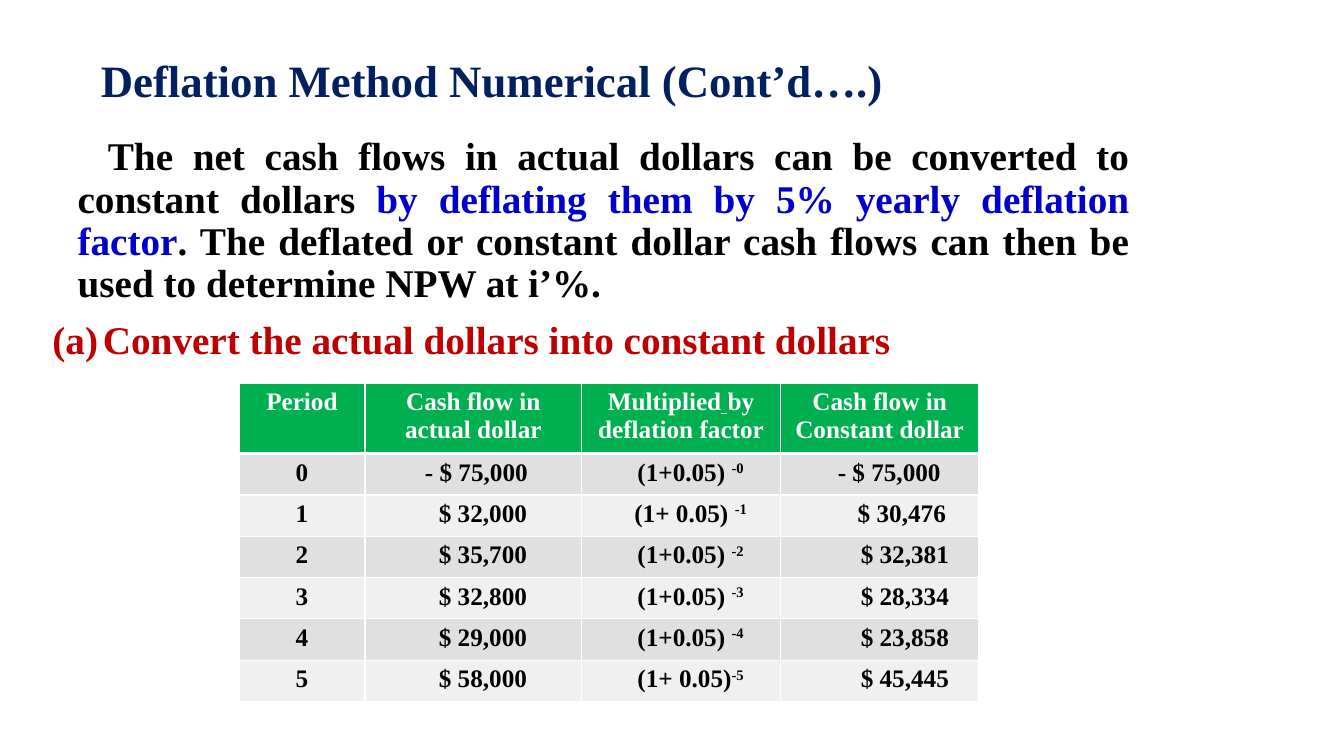
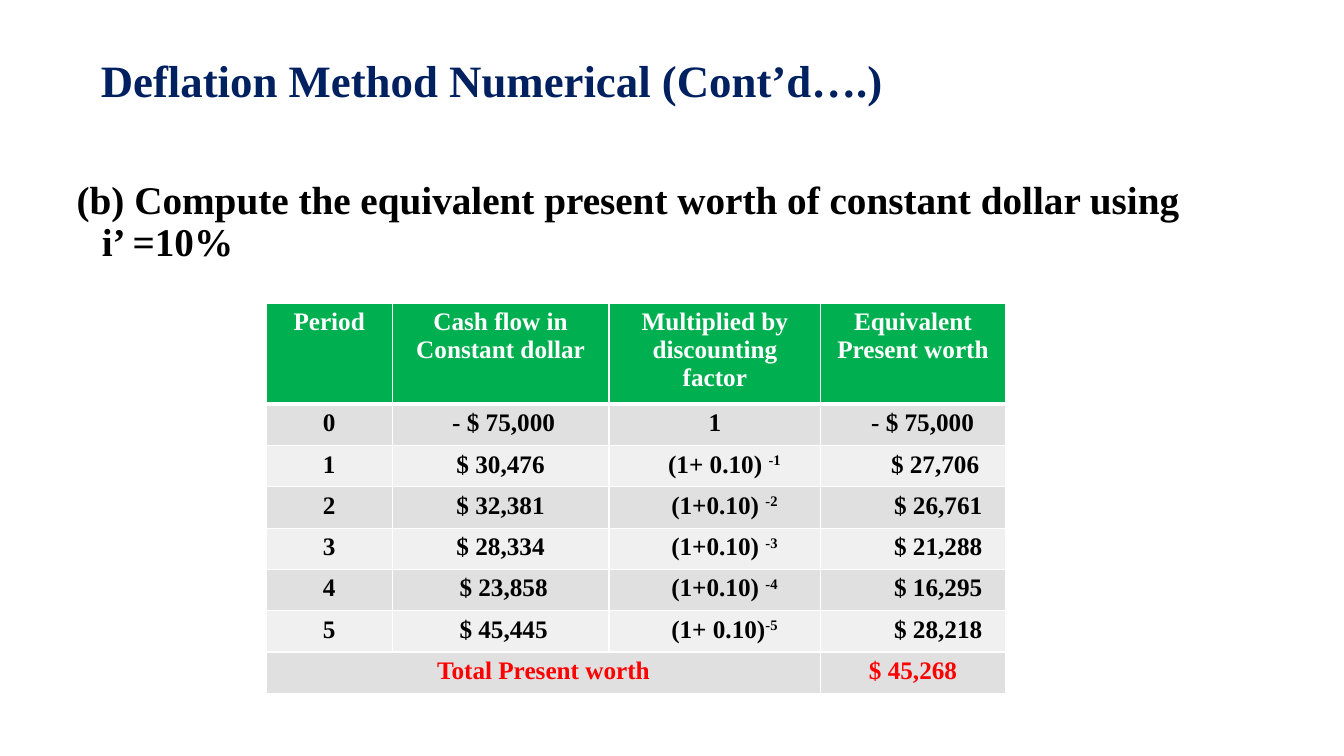
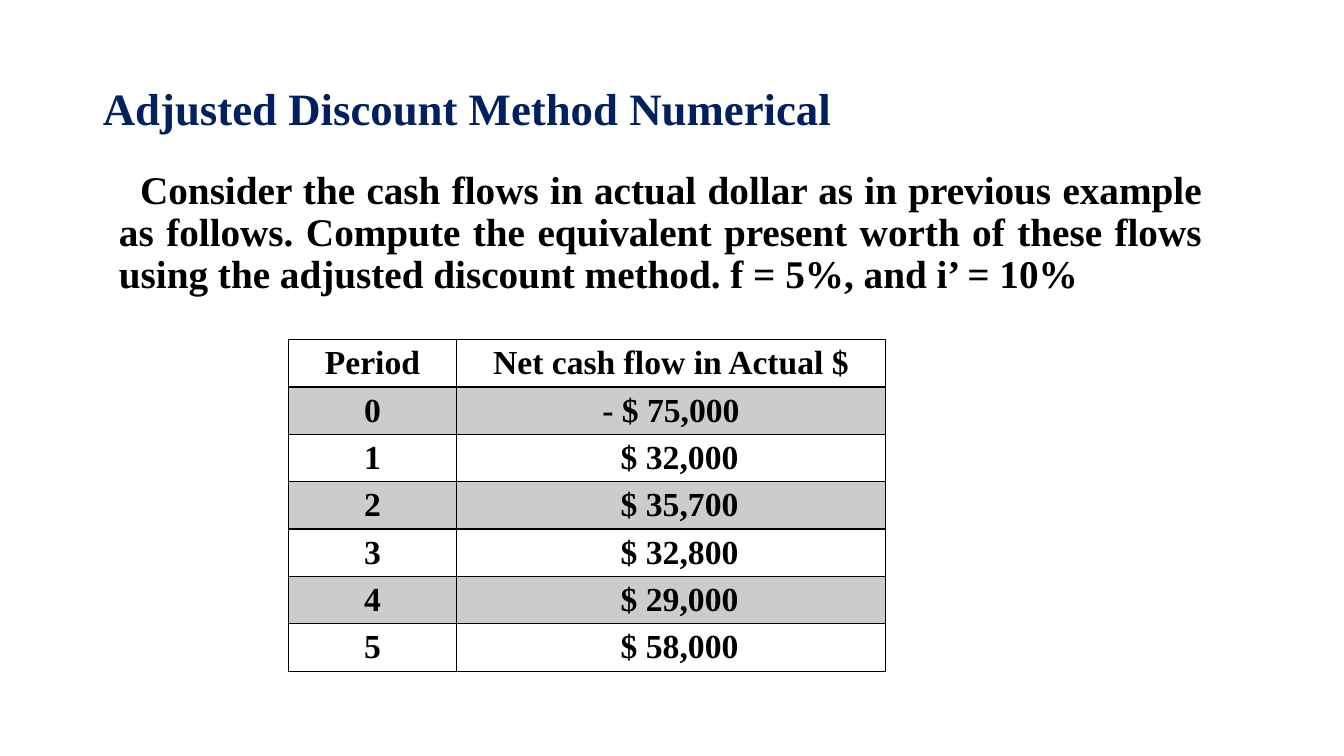
from dataclasses import dataclass
from typing import NamedTuple, Optional, Sequence

from lxml import etree
from pptx import Presentation
from pptx import util as u
from pptx.dml.color import RGBColor
from pptx.enum import text as t
from pptx.oxml.ns import qn

Inches, Pt = u.Inches, u.Pt


@dataclass(frozen=True)
class Theme:
    font: str = "Times New Roman"
    title_size: int = 32
    body_size: int = 28
    title: str = "002060"
    ink: str = "000000"
    white: str = "FFFFFF"
    accent: str = "0000CC"
    step: str = "C00000"
    total: str = "FF0000"
    line_spacing: float = 0.9
    space_before: int = 10


THEME = Theme()


class Box(NamedTuple):
    left: float
    top: float
    width: float
    height: float


class Run(NamedTuple):
    text: str
    color: Optional[str] = None
    raised: bool = False
    underline: bool = False


class Para(NamedTuple):
    runs: Sequence[Run]
    left: float = 0.25
    first: float = -0.25
    align: t.PP_ALIGN = t.PP_ALIGN.JUSTIFY
    number: Optional[str] = None


class Column(NamedTuple):
    """Values are listed by period; a caret starts a superscript."""
    header: Sequence[Run]
    width: float
    values: Sequence[str]
    indents: Sequence[float]


class Total(NamedTuple):
    label: str
    value: str


@dataclass(frozen=True)
class TableStyle:
    size: int
    header_fill: Optional[str]
    header_color: str
    bands: tuple[Optional[str], Optional[str]]
    border: str
    header_line: float
    row_height: float


GREEN_TABLE = TableStyle(18, "00B050", THEME.white, ("E0E0E0", "F0F0F0"), THEME.white, 3, 0.41)
GRID_TABLE = TableStyle(24, None, THEME.ink, ("CCCCCC", None), THEME.ink, 2, 0.47)


def add_runs(p, runs: Sequence[Run], size: int, color: str) -> None:
    for run in runs:
        r = p.add_run()
        r.text = run.text
        r.font.name = THEME.font
        r.font.size = Pt(size)
        r.font.bold = True
        r.font.color.rgb = RGBColor.from_string(run.color or color)
        if run.underline:
            r.font.underline = True
        if run.raised:
            r._r.get_or_add_rPr().set("baseline", "30000")


def place(sp, box: Box, anchor: t.MSO_ANCHOR):
    sp.left, sp.top, sp.width, sp.height = (Inches(v) for v in box)
    tf = sp.text_frame
    tf.word_wrap = True
    tf.auto_size = t.MSO_AUTO_SIZE.NONE
    tf.vertical_anchor = anchor
    return tf


def set_indent(p, para: Para) -> None:
    pPr = p._p.get_or_add_pPr()
    pPr.set("marL", str(Inches(para.left)))
    pPr.set("indent", str(Inches(para.first)))
    if para.number:
        color = etree.SubElement(pPr, qn("a:buClr"))
        etree.SubElement(color, qn("a:srgbClr"), val=THEME.step)
        font = etree.SubElement(pPr, qn("a:buFont"))
        font.set("typeface", THEME.font)
        etree.SubElement(pPr, qn("a:buAutoNum"), type=para.number)
    else:
        etree.SubElement(pPr, qn("a:buNone"))


def add_slide(prs, title: str, title_box: Box, body_box: Box, paras: Sequence[Para]):
    s = prs.slides.add_slide(prs.slide_layouts[1])
    p = place(s.shapes.title, title_box, t.MSO_ANCHOR.MIDDLE).paragraphs[0]
    p.alignment = t.PP_ALIGN.LEFT
    p.line_spacing = THEME.line_spacing
    add_runs(p, [Run(title)], THEME.title_size, THEME.title)

    tf = place(s.placeholders[1], body_box, t.MSO_ANCHOR.TOP)
    for i, para in enumerate(paras):
        p = tf.add_paragraph() if i else tf.paragraphs[0]
        set_indent(p, para)
        p.alignment = para.align
        p.line_spacing = THEME.line_spacing
        p.space_before = Pt(THEME.space_before if i else 0)
        add_runs(p, para.runs, THEME.body_size, THEME.ink)
    return s


def set_borders(cell, color: str, top: float, bottom: float) -> None:
    tcPr = cell._tc.get_or_add_tcPr()
    for i, (side, width) in enumerate((("L", 1), ("R", 1), ("T", top), ("B", bottom))):
        ln = etree.Element(qn(f"a:ln{side}"), w=str(Pt(width)))
        fill = etree.SubElement(ln, qn("a:solidFill"))
        etree.SubElement(fill, qn("a:srgbClr"), val=color)
        tcPr.insert(i, ln)


def fill_cell(cell, runs: Sequence[Run], size: int, color: str, indent: float = 0) -> None:
    cell.margin_left = Inches(0.1 + indent)
    p = cell.text_frame.paragraphs[0]
    p.alignment = t.PP_ALIGN.CENTER
    add_runs(p, runs, size, color)


def split_power(value: str) -> list[Run]:
    base, _, power = value.partition("^")
    return [Run(base)] + ([Run(power, raised=True)] if power else [])


def add_cash_table(s, left: float, top: float, header_height: float, style: TableStyle,
                   columns: Sequence[Column], total: Optional[Total] = None) -> None:
    heights = [header_height] + [style.row_height] * (len(columns[0].values) + bool(total))
    width = sum(c.width for c in columns)
    table = s.shapes.add_table(len(heights), len(columns), Inches(left), Inches(top),
                               Inches(width), Inches(sum(heights))).table
    table.horz_banding = False
    table.first_row = False
    for i, height in enumerate(heights):
        table.rows[i].height = Inches(height)
        fill = style.bands[(i - 1) % 2] if i else style.header_fill
        for cell in table.rows[i].cells:
            if fill:
                cell.fill.solid()
                cell.fill.fore_color.rgb = RGBColor.from_string(fill)
            else:
                cell.fill.background()
            set_borders(cell, style.border, style.header_line if i == 1 else 1,
                        1 if i else style.header_line)
    for j, column in enumerate(columns):
        table.columns[j].width = Inches(column.width)
        fill_cell(table.cell(0, j), column.header, style.size, style.header_color)
        for i, (value, indent) in enumerate(zip(column.values, column.indents), 1):
            fill_cell(table.cell(i, j), split_power(value), style.size, THEME.ink, indent)
    if total:
        row, last = len(heights) - 1, len(columns) - 1
        table.cell(row, 0).merge(table.cell(row, last - 1))
        fill_cell(table.cell(row, 0), [Run(total.label)], style.size, THEME.total)
        fill_cell(table.cell(row, last), [Run(total.value)], style.size, THEME.total)


def period_column(width: float) -> Column:
    return Column([Run("Period")], width, [str(n) for n in range(6)], [0] * 6)


ACTUAL = ["- $ 75,000", "$ 32,000", "$ 35,700", "$ 32,800", "$ 29,000", "$ 58,000"]
CONSTANT = ["- $ 75,000", "$ 30,476", "$ 32,381", "$ 28,334", "$ 23,858", "$ 45,445"]
PRESENT = ["- $ 75,000", "$ 27,706", "$ 26,761", "$ 21,288", "$ 16,295", "$ 28,218"]
DEFLATION = ["(1+0.05) ^-0", "(1+ 0.05) ^-1", "(1+0.05) ^-2",
             "(1+0.05) ^-3", "(1+0.05) ^-4", "(1+ 0.05)^-5"]
DISCOUNT = ["1", "(1+ 0.10) ^-1", "(1+0.10) ^-2",
            "(1+0.10) ^-3", "(1+0.10) ^-4", "(1+ 0.10)^-5"]
RESULT_INDENTS = [0.19, 0.44] + [0.5] * 4
DEFLATION_TITLE = "Deflation Method Numerical (Cont’d….)"
DEFLATION_TITLE_BOX = Box(0.9, 0.12, 9.75, 1.4)


def add_deflation(prs) -> None:
    s = add_slide(prs, DEFLATION_TITLE, DEFLATION_TITLE_BOX, Box(0.42, 1.31, 10.88, 2.45), [
        Para([
            Run("The net cash flows in actual dollars can be converted to constant dollars "),
            Run("by deflating them by 5% yearly deflation factor", THEME.accent),
            Run(". The deflated or constant dollar cash flows can then be used to determine "
                "NPW at i’%."),
        ], first=0.3),
        Para([Run("Convert the actual dollars into constant dollars", THEME.step)],
             left=0.5, first=-0.5, number="alphaLcParenBoth"),
    ])
    add_cash_table(s, 2.37, 3.8, 0.7, GREEN_TABLE, [
        period_column(1.25),
        Column([Run("Cash flow in actual dollar")], 2.15, ACTUAL, [0.06] + [0.19] * 5),
        Column([Run("Multiplied"), Run(" ", underline=True), Run("by deflation factor")],
               1.97, DEFLATION, [0.19] * 6),
        Column([Run("Cash flow in Constant dollar")], 1.97, CONSTANT, RESULT_INDENTS),
    ])


def add_present_worth(prs) -> None:
    s = add_slide(prs, DEFLATION_TITLE, DEFLATION_TITLE_BOX, Box(0.66, 1.74, 11.31, 1.08), [
        Para([Run("(b) Compute the equivalent present worth of constant dollar using i’ =10%")],
             align=t.PP_ALIGN.LEFT),
    ])
    add_cash_table(s, 2.64, 3.01, 1, GREEN_TABLE, [
        period_column(1.25),
        Column([Run("Cash flow in Constant dollar")], 2.15, CONSTANT,
               [0.06, 0, 0, 0, 0.06, 0.06]),
        Column([Run("Multiplied by discounting factor")], 2.1, DISCOUNT, [0] + [0.19] * 5),
        Column([Run("Equivalent Present worth")], 1.83, PRESENT, RESULT_INDENTS),
    ], Total("Total Present worth", "$ 45,268"))


def add_adjusted_discount(prs) -> None:
    s = add_slide(prs, "Adjusted Discount Method Numerical", Box(0.92, 0.4, 9.75, 1.4),
                  Box(0.83, 1.64, 11.19, 1.6), [
        Para([Run("Consider the cash flows in actual dollar as in previous example as follows. "
                  "Compute the equivalent present worth of these flows using the adjusted "
                  "discount method. f = 5%, and i’ = 10%")], first=0.21),
    ])
    add_cash_table(s, 2.86, 3.37, GRID_TABLE.row_height, GRID_TABLE, [
        period_column(1.67),
        Column([Run("Net cash flow in Actual $")], 4.25, ACTUAL, [0] + [0.17] * 5),
    ])


def main() -> None:
    prs = Presentation()
    prs.slide_width, prs.slide_height = Inches(13.33), Inches(7.5)
    add_deflation(prs)
    add_present_worth(prs)
    add_adjusted_discount(prs)
    prs.save("out.pptx")


if __name__ == "__main__":
    main()
